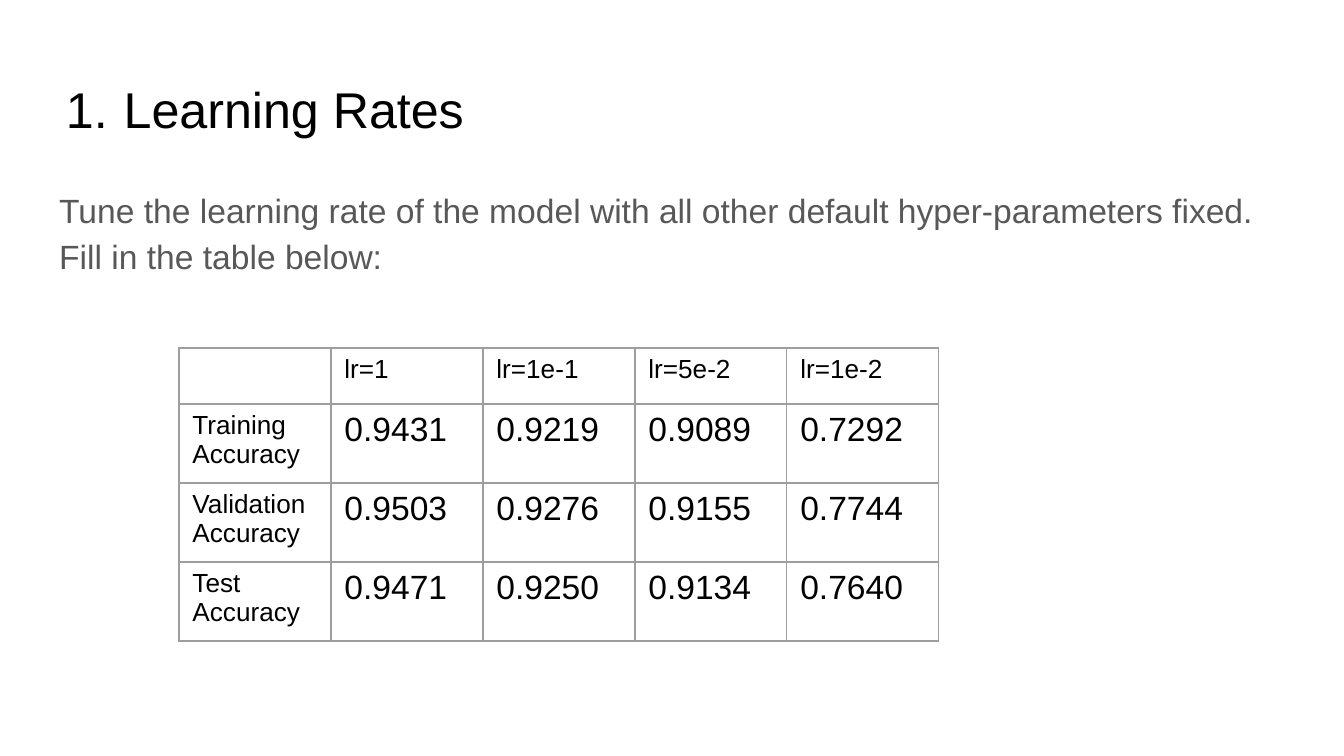
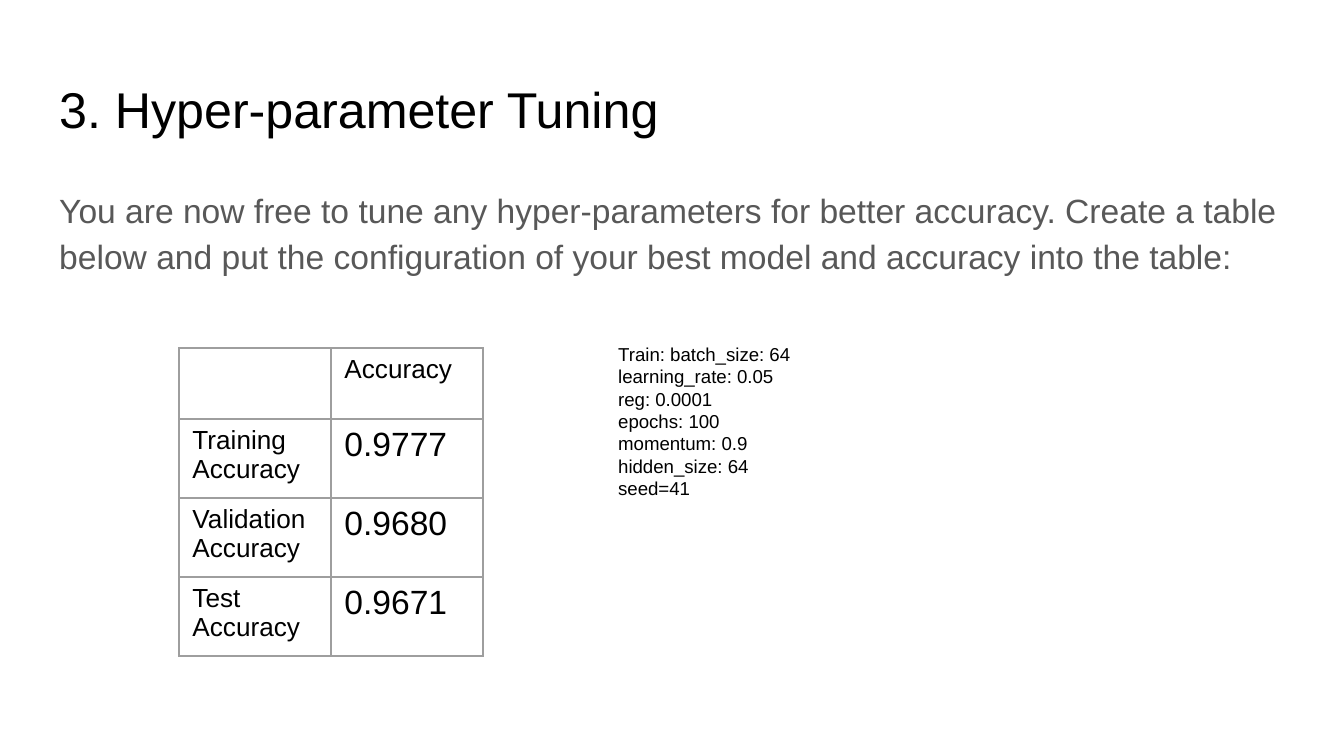
from lxml import etree
from pptx import Presentation, util as u
from pptx.dml.color import RGBColor
from pptx.enum import text
from pptx.oxml import ns

BLACK = RGBColor(0x00, 0x00, 0x00)
GREY = RGBColor(0x58, 0x58, 0x58)
RULE = RGBColor(0x9E, 0x9E, 0x9E)
FONT = "Arial"
TITLE_SIZE, BODY_SIZE, LABEL_SIZE, NOTE_SIZE = 26.9, 18, 14, 10

SLIDES = [
    {
        "title": "Learning Rates",
        "numbered": True,
        "task": "Tune the learning rate of the model with all other default "
                "hyper-parameters fixed. Fill in the table below:",
        "header_height": 56,
        "results": [
            ("", "lr=1", "lr=1e-1", "lr=5e-2", "lr=1e-2"),
            ("Training Accuracy", "0.9431", "0.9219", "0.9089", "0.7292"),
            ("Validation Accuracy", "0.9503", "0.9276", "0.9155", "0.7744"),
            ("Test Accuracy", "0.9471", "0.9250", "0.9134", "0.7640"),
        ],
        "settings": [],
    },
    {
        "title": "3. Hyper-parameter Tuning",
        "numbered": False,
        "task": "You are now free to tune any hyper-parameters for better accuracy. "
                "Create a table below and put the configuration of your best model "
                "and accuracy into the table:",
        "header_height": 71,
        "results": [
            ("", "Accuracy"),
            ("Training Accuracy", "0.9777"),
            ("Validation Accuracy", "0.9680"),
            ("Test Accuracy", "0.9671"),
        ],
        "settings": ["Train: batch_size: 64", "learning_rate: 0.05", "reg: 0.0001",
                     "epochs: 100", "momentum: 0.9", "hidden_size: 64", "seed=41"],
    },
]

SLIDE_WIDTH, SLIDE_HEIGHT = 1344, 756
TITLE_BOX = (46, 65, 1252, 84)
TASK_BOX = (46, 170, 1252, 503)
SETTINGS_BOX = (605, 336, 716, 403)
TABLE_LEFT, TABLE_TOP = 179, 348
COLUMN_WIDTH, ROW_HEIGHT = 152, 79


def px(n):
    return u.Emu(round(n * 914400 / 134.4))


def style(paragraph, size, color):
    paragraph.alignment = text.PP_ALIGN.LEFT
    for part in (paragraph.font, *(run.font for run in paragraph.runs)):
        part.name, part.size = FONT, u.Pt(size)
        part.color.rgb = color


def add_text(slide, box, lines, size, color, pad=0.1):
    frame = slide.shapes.add_textbox(*map(px, box)).text_frame
    frame.word_wrap = True
    frame.margin_left = frame.margin_right = u.Inches(0.1)
    frame.margin_top = frame.margin_bottom = u.Inches(pad)
    frame.text = "\n".join(lines)
    for paragraph in frame.paragraphs:
        style(paragraph, size, color)
    return frame.paragraphs[0]


def number(paragraph):
    props = paragraph._p.get_or_add_pPr()
    props.set("marL", str(u.Inches(0.48)))
    props.set("indent", str(u.Inches(-0.43)))
    color = etree.Element(ns.qn("a:buClr"))
    etree.SubElement(color, ns.qn("a:srgbClr"), val=str(BLACK))
    font = etree.Element(ns.qn("a:buFont"), typeface=FONT)
    scheme = etree.Element(ns.qn("a:buAutoNum"), type="arabicPeriod")
    for index, part in enumerate((color, font, scheme)):
        props.insert(index, part)


def add_borders(cell):
    props = cell._tc.get_or_add_tcPr()
    for index, side in enumerate(("lnL", "lnR", "lnT", "lnB")):
        line = etree.Element(ns.qn("a:" + side), w=str(u.Pt(0.74)))
        fill = etree.SubElement(line, ns.qn("a:solidFill"))
        etree.SubElement(fill, ns.qn("a:srgbClr"), val=str(RULE))
        props.insert(index, line)


def add_results(slide, rows, header_height):
    heights = [header_height] + [ROW_HEIGHT] * (len(rows) - 1)
    columns = len(rows[0])
    table = slide.shapes.add_table(
        len(rows), columns, px(TABLE_LEFT), px(TABLE_TOP),
        px(COLUMN_WIDTH * columns), px(sum(heights))).table
    table.first_row = table.horz_banding = False
    for column in table.columns:
        column.width = px(COLUMN_WIDTH)
    for r, row in enumerate(rows):
        table.rows[r].height = px(heights[r])
        for c, value in enumerate(row):
            cell = table.cell(r, c)
            cell.text = value
            cell.margin_left = cell.margin_right = u.Inches(0.1)
            cell.margin_top = cell.margin_bottom = u.Inches(0.05)
            cell.fill.background()
            style(cell.text_frame.paragraphs[0],
                  BODY_SIZE if r and c else LABEL_SIZE, BLACK)
            add_borders(cell)


deck = Presentation()
deck.slide_width, deck.slide_height = px(SLIDE_WIDTH), px(SLIDE_HEIGHT)
for content in SLIDES:
    slide = deck.slides.add_slide(deck.slide_layouts[6])
    title = add_text(slide, TITLE_BOX, [content["title"]], TITLE_SIZE, BLACK)
    if content["numbered"]:
        number(title)
    task = add_text(slide, TASK_BOX, [content["task"]], BODY_SIZE, GREY)
    task.line_spacing = 1.15
    add_results(slide, content["results"], content["header_height"])
    if content["settings"]:
        add_text(slide, SETTINGS_BOX, content["settings"], NOTE_SIZE, BLACK, pad=0.05)

deck.save("out.pptx")
